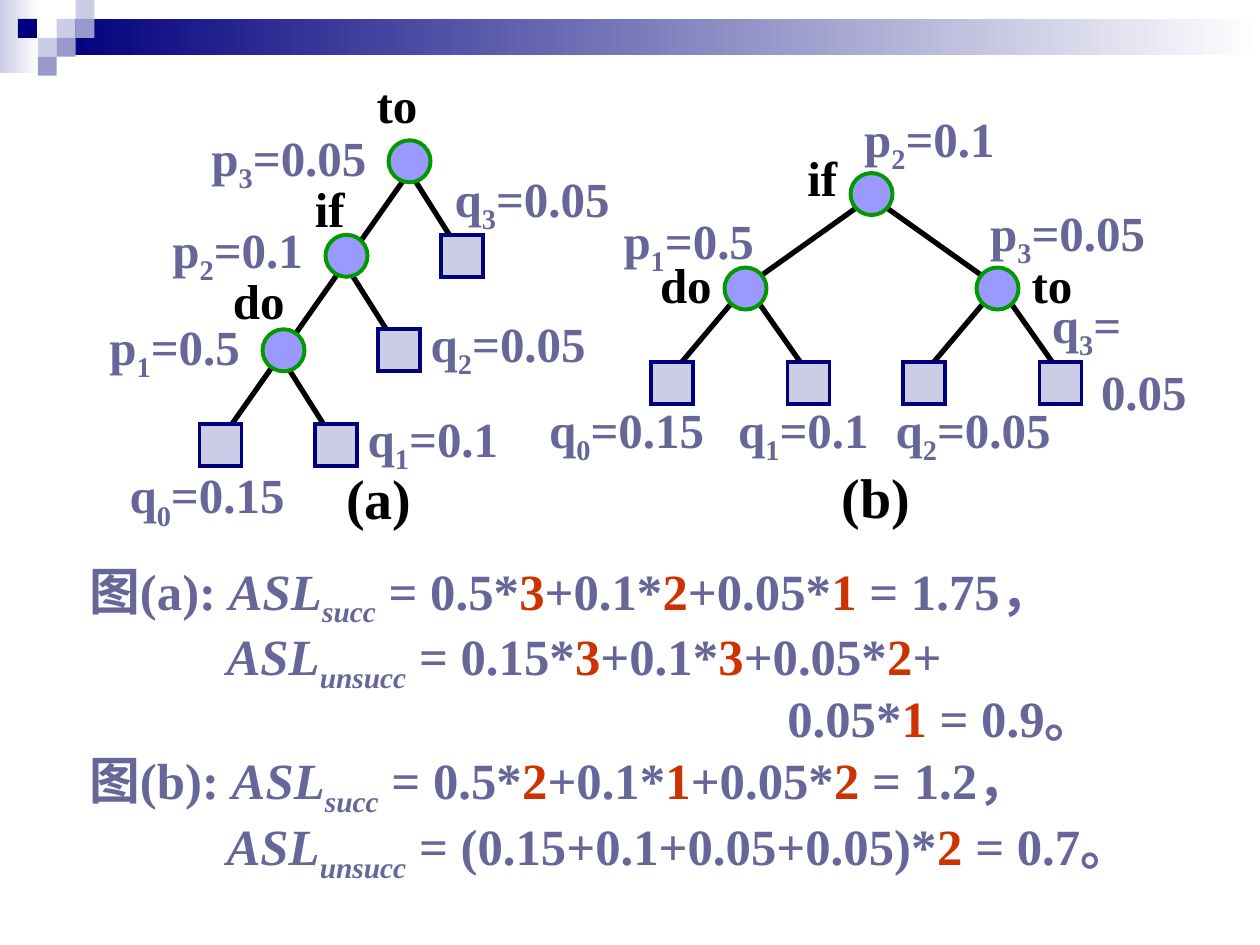
from dataclasses import dataclass

from lxml import etree
from pptx import Presentation, util as u
from pptx.dml.color import RGBColor
from pptx.enum import shapes, text
from pptx.oxml.ns import qn

COLOURS = {
    "navy": "00007D", "pale": "CCCCE6", "mid": "9999CC", "white": "FFFFFF",
    "node": "9999FF", "ring": "009900", "black": "000000",
    "slate": "666699", "red": "CC3300",
}
FONT = "Times New Roman"
RECT, OVAL = shapes.MSO_SHAPE.RECTANGLE, shapes.MSO_SHAPE.OVAL
COLUMN, ROW = 1 / 12, 0.75      # tree grid, inches
NODE = 4 * COLUMN               # node diameter and leaf side
EDGE_DROP = COLUMN              # edges start this far below a node's centre
TILE = 0.15                     # header mosaic

deck = Presentation()
deck.slide_width, deck.slide_height = u.Inches(10), u.Inches(7.5)
page = deck.slides.add_slide(deck.slide_layouts[6])


@dataclass
class Tree:
    """Nodes are (column, row); edges are (column, row, column, row)."""
    top: float
    nodes: list
    leaves: list
    edges: list


@dataclass
class Label:
    """Left, top, width and indents are percentages of the slide's width."""
    left: float
    top: float
    width: float
    lines: list
    size: float = 28
    colour: str = "slate"
    indents: tuple = (0, 0)


TREES = [
    Tree(1.28, [(39, 0), (33, 1), (27, 2)],
         [(44, 1), (38, 2), (21, 3), (32, 3)],
         [(39, 0, 20, 3), (39, 0, 44, 0.88), (33, 1, 38, 1.88), (27, 2, 32, 2.88)]),
    Tree(1.54, [(83, 0), (71, 1), (95, 1)],
         [(64, 2), (77, 2), (88, 2), (101, 2)],
         [(84, 0, 94, 0.79), (82, 0, 72, 0.79), (72, 1, 77, 1.79),
          (70, 1, 64, 1.79), (96, 1, 101, 1.79), (94, 1, 88, 1.79)]),
]

KEYS = [
    (17.5, 21, 6.3, "do"), (24, 13.7, 4.6, "if"), (28.9, 5.4, 5.4, "to"),
    (51.4, 19.7, 6.3, "do"), (63.1, 11.2, 4.6, "if"), (80.9, 19.7, 5.4, "to"),
]
CAPTIONS = [(26.5, 36.3, 7.5, "(a)"), (65.8, 36.2, 7.8, "(b)")]
WEIGHTS = [
    (9.3, 36.4, "q", 0, "0.15"), (28.2, 31.9, "q", 1, "0.1"),
    (7.7, 24.6, "p", 1, "0.5"), (33.2, 24.4, "q", 2, "0.05"),
    (12.7, 16.9, "p", 2, "0.1"), (35.1, 12.9, "q", 3, "0.05"),
    (15.8, 9.6, "p", 3, "0.05"), (42.6, 31.2, "q", 0, "0.15"),
    (57.6, 31.2, "q", 1, "0.1"), (70.1, 31.2, "q", 2, "0.05"),
    (48.5, 16.2, "p", 1, "0.5"), (67.6, 8.1, "p", 2, "0.1"),
    (77.6, 15.6, "p", 3, "0.05"),
]
# Spans are split at "|"; a first "_" is subscript, "~" italic,
# "%" italic subscript and "!" red.
FORMULAS = [
    "图(a): |~ASL|%succ| = 0.5*|!3|+0.1*|!2|+0.05*|!1| = 1.75，",
    "~ASL|%unsucc| = 0.15*|!3|+0.1*|!3|+0.05*|!2|+",
    "0.05*|!1| = 0.9。",
    "图(b): |~ASL|%succ| = 0.5*|!2|+0.1*|!1|+0.05*|!2| = 1.2，",
    "~ASL|%unsucc| = (0.15+0.1+0.05+0.05)*|!2| = 0.7。",
]


def rgb(name: str) -> RGBColor:
    return RGBColor.from_string(COLOURS[name])


def share(percent: float) -> int:
    return int(deck.slide_width * percent / 100)


def add_block(left: float, top: float, width: float, height: float, fill: str,
              kind=RECT, outline: str = "", fade: bool = False) -> None:
    block = page.shapes.add_shape(kind, *map(u.Inches, (left, top, width, height)))
    block.shadow.inherit = False
    if fade:
        block.fill.gradient()
        block.fill.gradient_angle = 0
        for stop, colour in zip(block.fill.gradient_stops, (fill, "white")):
            stop.color.rgb = rgb(colour)
    else:
        block.fill.solid()
        block.fill.fore_color.rgb = rgb(fill)
    if outline:
        block.line.color.rgb = rgb(outline)
        block.line.width = u.Pt(2.25)
        etree.SubElement(block._element.spPr.find(qn("a:ln")), qn("a:miter"), lim="800000")
    else:
        block.line.fill.background()


def add_header() -> None:
    add_block(0, 0, 0.31, 0.58, "pale", fade=True)
    add_block(3 * TILE, TILE, 10 - 3 * TILE, 0.29, "navy", fade=True)
    for column, row, fill in [(3, 1, "pale"), (4, 0, "pale"), (4, 1, "mid"),
                              (2, 2, "pale"), (0.95, 1, "navy"),
                              (3, 2, "mid"), (2, 3, "mid")]:
        add_block(column * TILE, row * TILE, TILE, TILE, fill)


def add_tree(tree: Tree) -> None:
    for x1, y1, x2, y2 in tree.edges:
        start, end = (tree.top + EDGE_DROP + y * ROW for y in (y1, y2))
        edge = page.shapes.add_connector(
            shapes.MSO_CONNECTOR.STRAIGHT,
            *map(u.Inches, (x1 * COLUMN, start, x2 * COLUMN, end)))
        edge.line.color.rgb = rgb("black")
        edge.line.width = u.Pt(3)
        etree.SubElement(edge._element.spPr, qn("a:effectLst"))
    for places, fill, kind, outline in [(tree.leaves, "pale", RECT, "navy"),
                                        (tree.nodes, "node", OVAL, "ring")]:
        for column, row in places:
            add_block(column * COLUMN - NODE / 2, tree.top + row * ROW - NODE / 2,
                      NODE, NODE, fill, kind, outline)


def add_spans(para, line: str, size: float, colour: str) -> None:
    para.font.size, para.font.name, para.font.bold = u.Pt(size), FONT, True
    for part in line.split("|"):
        mark = part[0] if part[0] in "_~%!" else ""
        span = para.add_run()
        span.text = part[len(mark):]
        span.font.color.rgb = rgb("red" if mark == "!" else colour)
        if mark in ("~", "%"):
            span.font.italic = True
        if mark in ("_", "%"):
            span._r.get_or_add_rPr().set("baseline", "-25000")


def add_label(label: Label, height: float = 6.3, wrap: bool = False,
              spacing: float = 1.0) -> None:
    box = page.shapes.add_textbox(*map(share, (label.left, label.top,
                                               label.width, height)))
    frame = box.text_frame
    frame.word_wrap = wrap
    frame.auto_size = text.MSO_AUTO_SIZE.SHAPE_TO_FIT_TEXT
    for index, line in enumerate(label.lines):
        para = frame.paragraphs[0] if index == 0 else frame.add_paragraph()
        para.line_spacing = spacing
        if label.indents[index]:
            para._p.get_or_add_pPr().set("marL", str(share(label.indents[index])))
        add_spans(para, line, label.size, label.colour)


add_header()
for tree in TREES:
    add_tree(tree)
for left, top, width, word in KEYS:
    add_label(Label(left, top, width, [word], colour="black"), 5.7)
for left, top, width, word in CAPTIONS:
    add_label(Label(left, top, width, [word], 32, "black"), 6.4)
for left, top, letter, index, value in WEIGHTS:
    add_label(Label(left, top, 6.8 + 2 * len(value), [f"{letter}|_{index}|={value}"]))
add_label(Label(82.5, 22.9, 12.7, ["q|_3|=", "0.05"], indents=(0, 3.9)), 11)
add_label(Label(6.1, 43.9, 91.6, FORMULAS, 29, indents=(0, 10.9, 55.4, 0, 10.9)),
          26.5, wrap=True, spacing=0.95)

deck.save("out.pptx")
